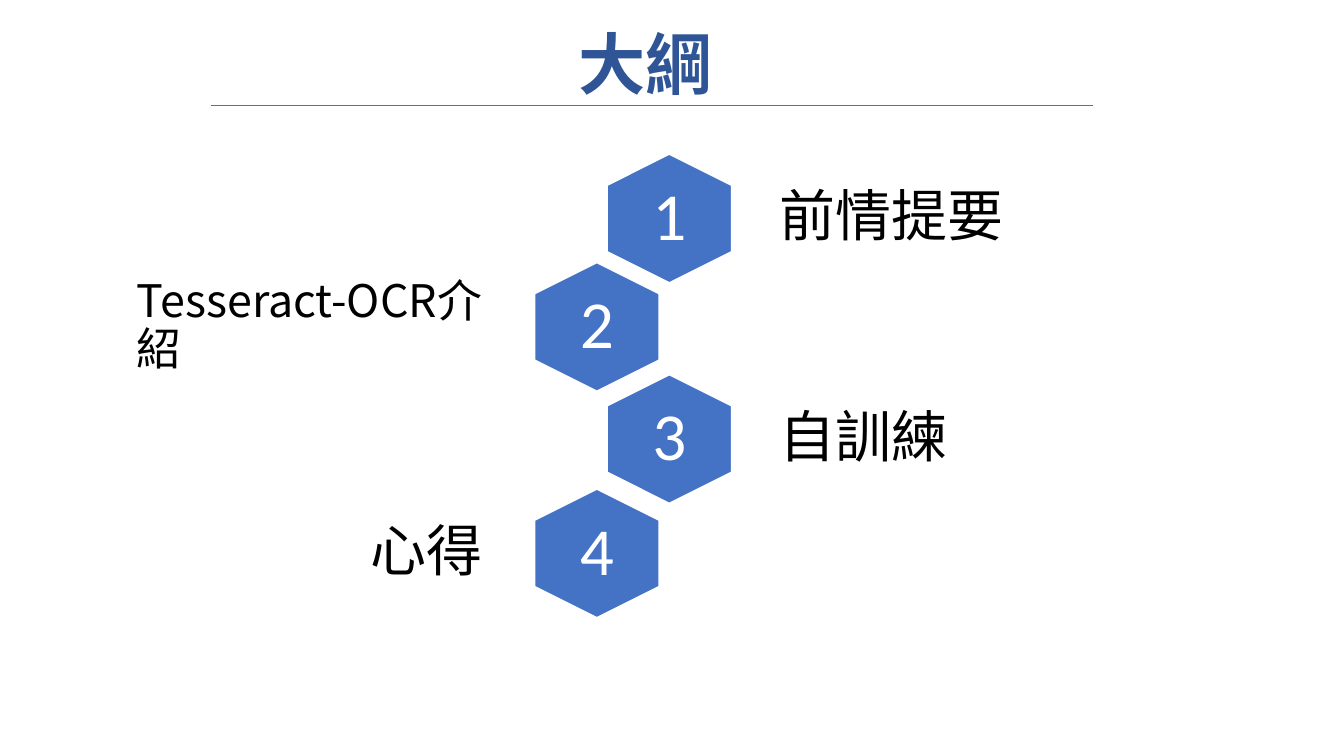
"""Build an outline slide with four numbered hexagons and their labels."""
from lxml.etree import SubElement
from pptx import Presentation
from pptx.dml.color import RGBColor as Rgb
from pptx.enum.shapes import MSO_CONNECTOR as Link, MSO_SHAPE as Kind
from pptx.enum.text import MSO_ANCHOR as Anchor, PP_ALIGN as Align
from pptx.oxml.ns import qn
from pptx.util import Cm, Pt

TITLE = "大綱"
ITEMS = [
    ("前情提要", 30, 4.13, 14.43, 5.13),
    ("Tesseract-OCR介紹", 24, 6.18, 2.29, 7.85),
    ("自訓練", 30, 8.3, 14.43, 4.37),
    ("心得", 30, 10.46, 6.71, 3.61),
]
MIDS = (12.65, 11.28)
HEX = (2.44, 2.36)
BADGE = (1.63, 1.68)
TALL = 1.93
THEME = {
    "navy": Rgb(0x2F, 0x55, 0x97),
    "blue": Rgb(0x44, 0x72, 0xC4),
    "white": Rgb(255, 255, 255),
    "black": Rgb(0, 0, 0),
    "body": "Noto Sans CJK SC",
    "head": "Calibri",
    "big": 36,
}


def write(page, text, box, size, face, tint, align=Align.LEFT, pad=0.0):
    area = page.shapes.add_textbox(*map(Cm, box))
    frame = area.text_frame
    frame.word_wrap = True
    frame.vertical_anchor = Anchor.MIDDLE
    frame.margin_left = frame.margin_right = Cm(pad)
    frame.margin_top = frame.margin_bottom = Cm(pad)
    para = frame.paragraphs[0]
    para.text = text
    para.alignment = align
    para.line_spacing = 0.9
    font = para.font
    font.size, font.name = Pt(size), THEME[face]
    font.color.rgb = THEME[tint]
    return frame


def head(page):
    frame = write(page, TITLE, (10.67, 0.3, 3.05, 1.8), THEME["big"],
                  "head", "navy", Align.CENTER)
    frame.word_wrap = False
    frame.vertical_anchor = Anchor.TOP
    frame.margin_top = Cm(0.13)
    para = frame.paragraphs[0]
    para.line_spacing = 1.0
    para.space_before = Pt(6)
    para.font.bold = True
    rule = page.shapes.add_connector(Link.STRAIGHT, Cm(3.99), Cm(2), Cm(20.65), Cm(2))
    rule.line.color.rgb = THEME["blue"]
    rule.line.width = Pt(0.5)
    SubElement(rule._element.spPr, qn("a:effectLst"))


def around(x, y, size):
    wide, high = size
    return x - wide / 2, y - high / 2, wide, high


def badge(page, num, x, y):
    hexa = page.shapes.add_shape(Kind.HEXAGON, *map(Cm, around(x, y, HEX)))
    hexa.rotation = 90
    hexa.adjustments[0] = 0.25
    hexa.shadow.inherit = False
    hexa.fill.solid()
    hexa.fill.fore_color.rgb = THEME["blue"]
    hexa.line.color.rgb = THEME["white"]
    hexa.line.width = Pt(1)
    write(page, str(num), around(x, y, BADGE), THEME["big"],
          "head", "white", Align.CENTER)


def main():
    deck = Presentation()
    deck.slide_width, deck.slide_height = Cm(25.4), Cm(14.29)
    page = deck.slides.add_slide(deck.slide_layouts[6])
    head(page)
    for num, (text, size, y, left, wide) in enumerate(ITEMS, 1):
        badge(page, num, MIDS[(num - 1) % 2], y)
        write(page, text, (left, y - TALL / 2, wide, TALL), size,
              "body", "black", pad=0.3)
    deck.save("out.pptx")


if __name__ == "__main__":
    main()
